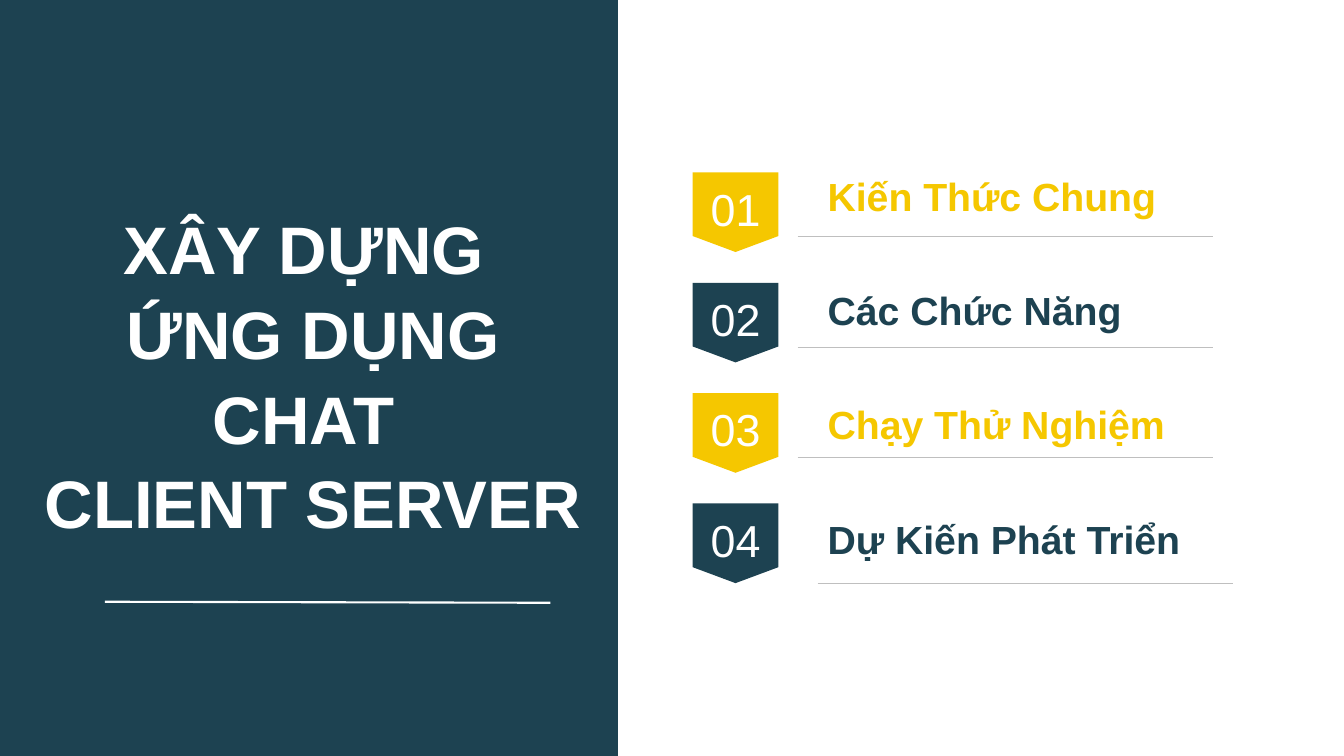
from pptx import Presentation
from pptx.dml.color import RGBColor
from pptx.enum.shapes import MSO_CONNECTOR, MSO_SHAPE
from pptx.enum.text import MSO_ANCHOR, MSO_AUTO_SIZE, PP_ALIGN
from pptx.oxml.ns import qn
from pptx.util import Inches, Pt
from lxml import etree

BADGE = MSO_SHAPE.FLOWCHART_OFFPAGE_CONNECTOR
RECTANGLE = MSO_SHAPE.RECTANGLE
STRAIGHT = MSO_CONNECTOR.STRAIGHT
TOP, MIDDLE = MSO_ANCHOR.TOP, MSO_ANCHOR.MIDDLE
LEFT, CENTER = PP_ALIGN.LEFT, PP_ALIGN.CENTER
NO_AUTOFIT = MSO_AUTO_SIZE.NONE

NAVY, YELLOW, WHITE, GRAY = "1D4251", "F5C700", "FFFFFF", "BFBFBF"
TITLE_LINES = ["XÂY DỰNG ", "ỨNG DỤNG CHAT ", "CLIENT SERVER"]
TOPICS = ["Kiến Thức Chung", "Các Chức Năng", "Chạy Thử Nghiệm", "Dự Kiến Phát Triển"]
BADGE_FORMAT = {"size": Pt(32), "bold": False, "name": "Arial"}
TOPIC_FORMAT = {"size": Pt(28), "bold": True, "name": "Arial"}
TITLE_FORMAT = {"size": Pt(48), "bold": True, "name": "Arial"}


def color(hex_string):
    return RGBColor.from_string(hex_string)


def set_attributes(target, values):
    for name, value in values.items():
        setattr(target, name, value)


def write_text(shape, lines, font_format, font_color, alignment, spacing=1.0, **frame_format):
    frame = shape.text_frame
    set_attributes(frame, {"word_wrap": True, "auto_size": NO_AUTOFIT, **frame_format})
    frame.text = "\n".join(lines)
    for paragraph in frame.paragraphs:
        set_attributes(paragraph, {"alignment": alignment, "line_spacing": spacing})
        set_attributes(paragraph.font, font_format)
        paragraph.font.color.rgb = color(font_color)


def add_filled_shape(slide, kind, left, top, width, height, fill):
    shape = slide.shapes.add_shape(kind, Inches(left), Inches(top), Inches(width), Inches(height))
    shape.shadow.inherit = False
    shape.fill.solid()
    shape.fill.fore_color.rgb = color(fill)
    shape.line.fill.background()
    return shape


def add_rule(slide, start, end, line_color, width):
    points = [Inches(value) for value in (*start, *end)]
    connector = slide.shapes.add_connector(STRAIGHT, *points)
    connector.line.color.rgb = color(line_color)
    connector.line.width = Pt(width)
    etree.SubElement(connector._element.spPr, qn("a:effectLst"))


def add_topic(slide, index, topic):
    accent = NAVY if index % 2 else YELLOW
    badge = add_filled_shape(slide, BADGE, 6.87, 1.71 + 1.095 * index, 0.85, 0.79, accent)
    write_text(badge, [f"{index + 1:02}"], BADGE_FORMAT, WHITE, CENTER, vertical_anchor=MIDDLE,
               margin_left=0, margin_top=Inches(0.08), margin_right=0, margin_bottom=0)
    label = slide.shapes.add_textbox(
        Inches(8.11), Inches(1.66 + 1.133 * index), Inches(3.92), Inches(0.57))
    write_text(label, [topic], TOPIC_FORMAT, accent, LEFT, vertical_anchor=TOP)
    is_last = index == len(TOPICS) - 1
    rule_left, rule_top = (8.11, 5.79) if is_last else (7.91, 2.35 + 1.095 * index)
    add_rule(slide, (rule_left, rule_top), (rule_left + 4.12, rule_top), GRAY, 0.75)


def add_title(slide):
    title = slide.shapes.title
    set_attributes(title, {"left": Inches(0.24), "top": Inches(1.97),
                           "width": Inches(5.73), "height": Inches(3.3)})
    write_text(title, TITLE_LINES, TITLE_FORMAT, WHITE, CENTER, spacing=1.05, vertical_anchor=TOP)
    slide.shapes._spTree.append(title._element)


def main():
    presentation = Presentation()
    presentation.slide_width = Inches(13.33)
    presentation.slide_height = Inches(7.5)
    slide = presentation.slides.add_slide(presentation.slide_layouts[5])
    for index, topic in enumerate(TOPICS):
        add_topic(slide, index, topic)
    add_filled_shape(slide, RECTANGLE, 0, 0, 6.13, 7.5, NAVY)
    add_rule(slide, (1.04, 5.97), (5.46, 5.98), WHITE, 1.5)
    add_title(slide)
    presentation.save("out.pptx")


if __name__ == "__main__":
    main()
